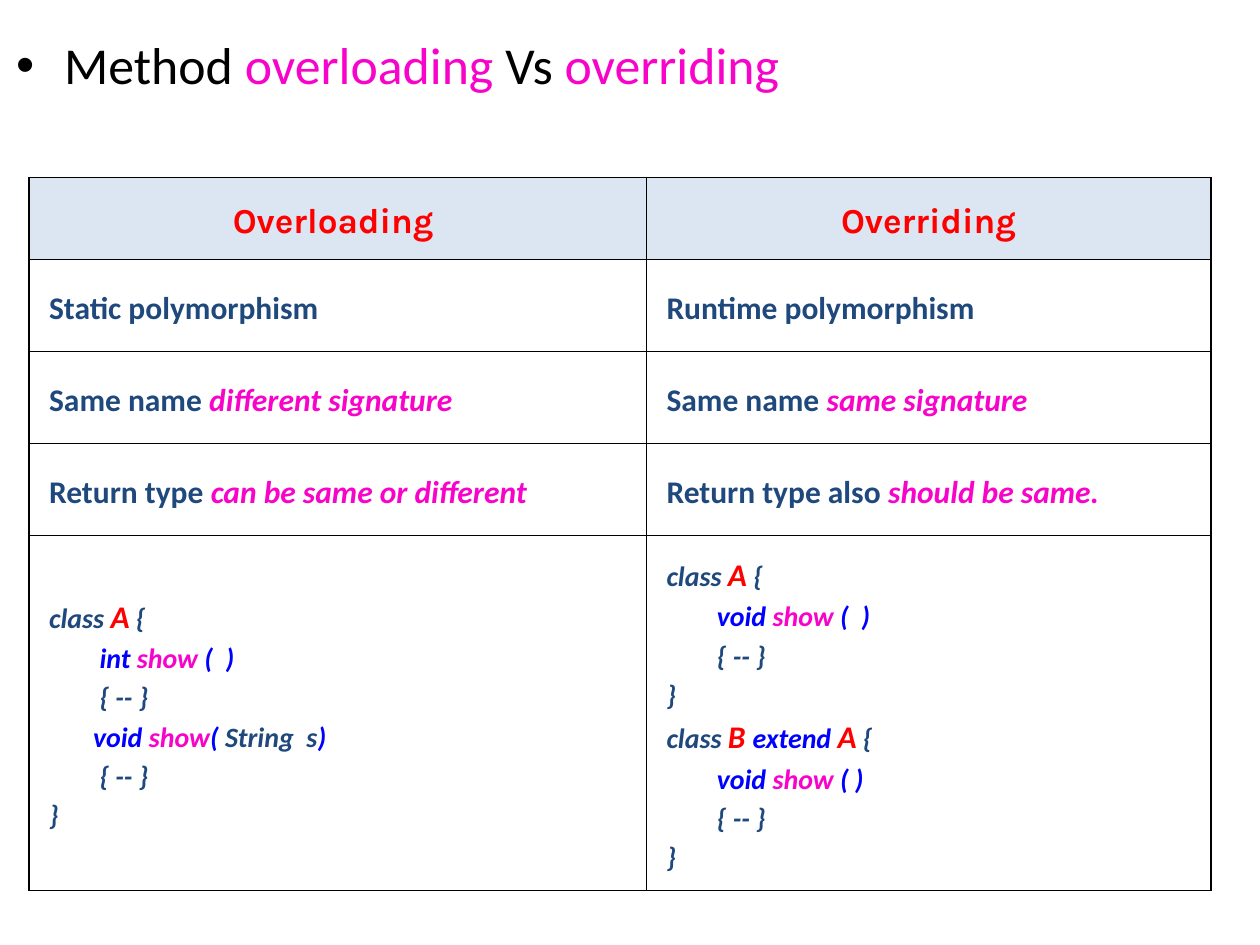
"""Build a slide comparing method overloading with overriding."""
import pptx
import pptx.dml.color
import pptx.enum.text
import pptx.oxml
import pptx.oxml.ns
import pptx.util
from pptx.util import Inches

NAVY, PINK, BLUE, RED, BLACK = "1F497D", "F703C9", "0000FF", "FF0000", "000000"
MIDDLE = pptx.enum.text.MSO_ANCHOR.MIDDLE


def paint(fmt, tone):
    fmt.rgb = pptx.dml.color.RGBColor.from_string(tone)


def write(para, parts, size, font="Calibri", bold=True, slant=False):
    for text, tone in parts:
        run = para.add_run()
        run.text = text
        run.font.name = font
        run.font.size = pptx.util.Pt(size)
        run.font.bold = bold
        run.font.italic = slant
        paint(run.font.color, tone)


deck = pptx.Presentation()
deck.slide_width, deck.slide_height = Inches(10), Inches(7.5)
slide = deck.slides.add_slide(deck.slide_layouts[6])

title = slide.shapes.add_textbox(Inches(0), Inches(0.16), Inches(6.75), Inches(0.7))
title.fill.solid()
paint(title.fill.fore_color, "FFFFFF")
frame = title.text_frame
frame.word_wrap = True
frame.vertical_anchor = MIDDLE
para = frame.paragraphs[0]
write(para, [("Method ", BLACK), ("overloading", PINK), (" Vs ", BLACK), ("overriding", PINK)],
      29.6, bold=False)
props = para._p.get_or_add_pPr()
props.set("marL", str(Inches(0.41)))
props.set("indent", str(-Inches(0.38)))
space = pptx.oxml.ns.nsdecls("a")
props.append(pptx.oxml.parse_xml(f'<a:buFont {space} typeface="Arial"/>'))
props.append(pptx.oxml.parse_xml(f'<a:buChar {space} char="•"/>'))

facts = [
    ([("Static polymorphism", NAVY)], [("Runtime polymorphism", NAVY)]),
    ([("Same name ", NAVY), ("different signature", PINK)],
     [("Same name ", NAVY), ("same signature", PINK)]),
    ([("Return type ", NAVY), ("can be same or different", PINK)],
     [("Return type also ", NAVY), ("should be same.", PINK)]),
]
start = (0, [("class ", NAVY), ("A", RED), (" {", NAVY)])
body = (0.4, [("{ -- }", NAVY)])
end = (0, [("}", NAVY)])
codes = [
    [start,
     (0.4, [("int ", BLUE), ("show", PINK), (" (  )", BLUE)]),
     body,
     (0.35, [("void ", BLUE), ("show", PINK), ("( ", BLUE), ("String  s", NAVY), (")", BLUE)]),
     body, end],
    [start,
     (0.4, [("void ", BLUE), ("show", PINK), (" (  )", BLUE)]),
     body, end,
     (0, [("class ", NAVY), ("B ", RED), ("extend ", BLUE), ("A", RED), (" {", NAVY)]),
     (0.4, [("void ", BLUE), ("show", PINK), (" ( )", BLUE)]),
     body, end],
]

high = [0.65, 0.73, 0.73, 0.73, 2.82]
wide = [4.9, 4.48]
table = slide.shapes.add_table(len(high), len(wide), Inches(0.23), Inches(1.41),
                               Inches(sum(wide)), Inches(sum(high))).table
for col, width in zip(table.columns, wide):
    col.width = Inches(width)
for row, height in zip(table.rows, high):
    row.height = Inches(height)

last = len(high) - 1
for r in range(len(high)):
    for c in range(len(wide)):
        cell = table.cell(r, c)
        cell.vertical_anchor = MIDDLE
        cell.margin_left = Inches(0.16 if r else 0.07)
        cell.margin_right = Inches(0.07)
        cell.margin_top = cell.margin_bottom = Inches(0.12 if r == last else 0)
        for side in ("lnL", "lnR", "lnT", "lnB"):
            cell._tc.get_or_add_tcPr().append(pptx.oxml.parse_xml(
                f'<a:{side} {space} w="12700"><a:solidFill><a:srgbClr val="{BLACK}"/>'
                f'</a:solidFill></a:{side}>'))
        cell.fill.solid()
        paint(cell.fill.fore_color, "FFFFFF" if r else "DCE6F2")

        frame = cell.text_frame
        first = frame.paragraphs[0]
        if r == 0:
            first.alignment = pptx.enum.text.PP_ALIGN.CENTER
            write(first, [(("Overloading ", "Overriding")[c], RED)], 20, "Karla")
        elif r < last:
            for part in facts[r - 1][c]:
                write(first, [part], 18, slant=part[1] == PINK)
        else:
            for n, (indent, parts) in enumerate(codes[c]):
                para = frame.add_paragraph() if n else first
                para._p.get_or_add_pPr().set("marL", str(Inches(indent)))
                for part in parts:
                    write(para, [part], 18 if part[1] == RED else 16, slant=True)
        for para in frame.paragraphs:
            para.line_spacing = 1.15
        if r == 0 or (c == 1) != (r == last):
            first.space_before = pptx.util.Pt(6)

deck.save("out.pptx")
